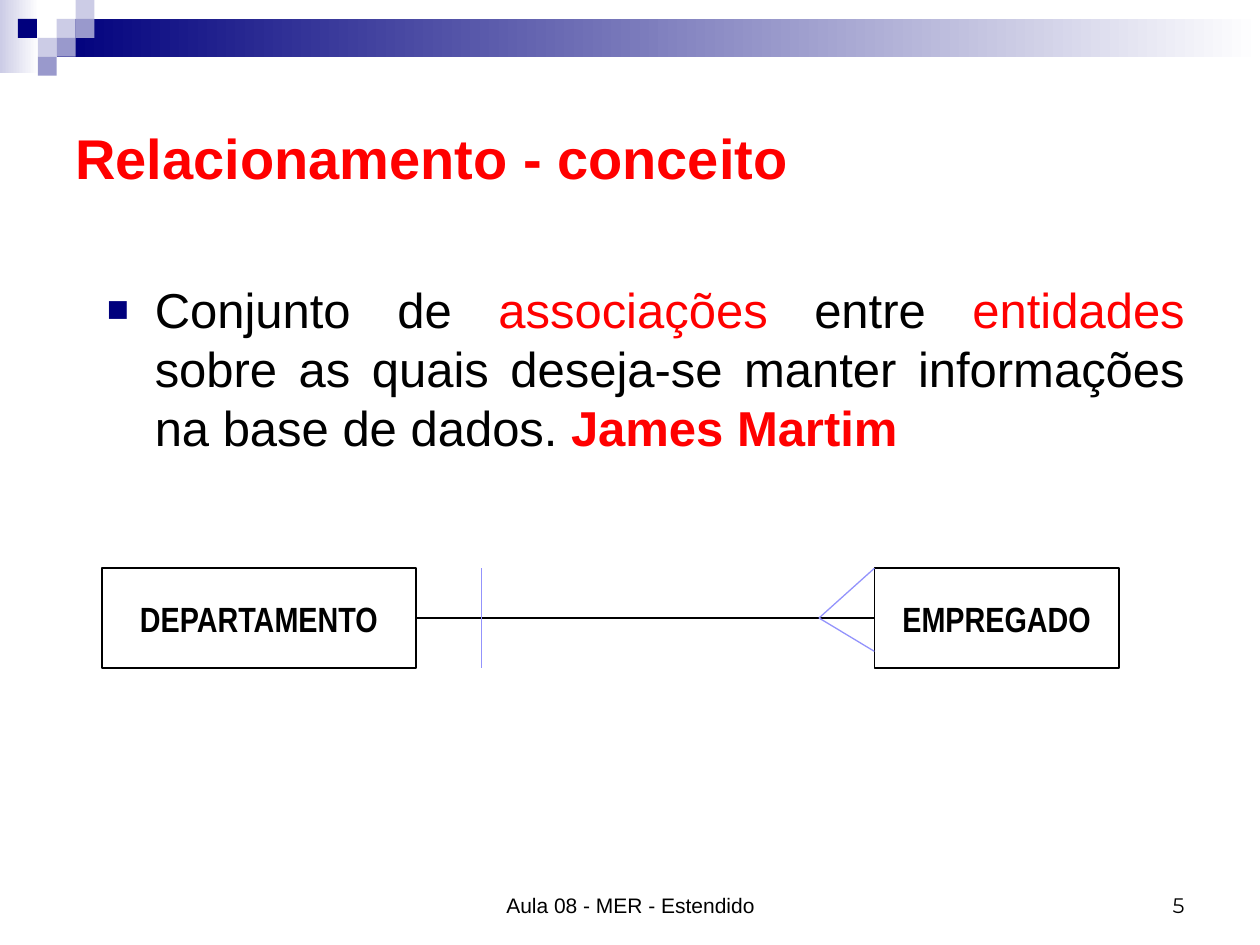
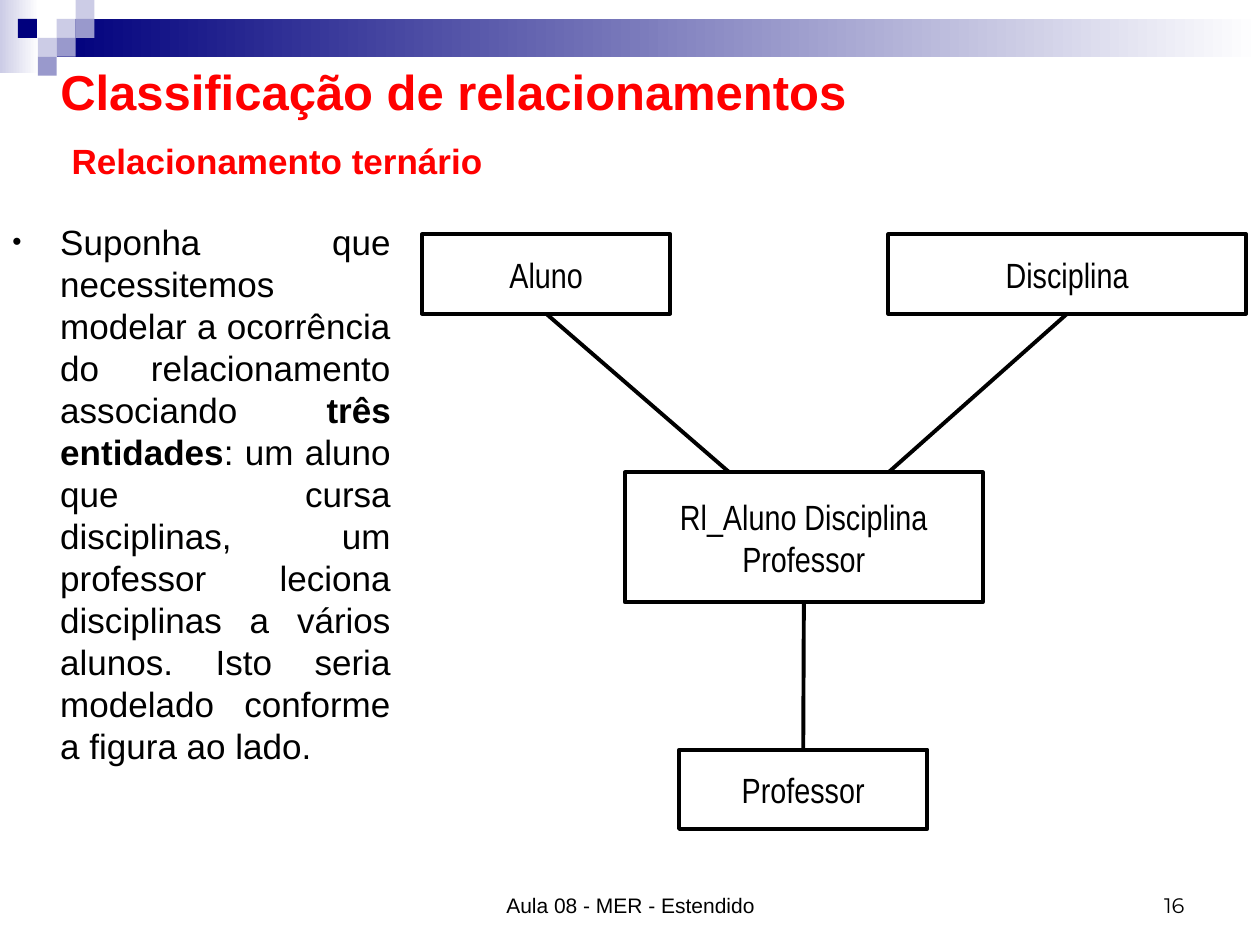
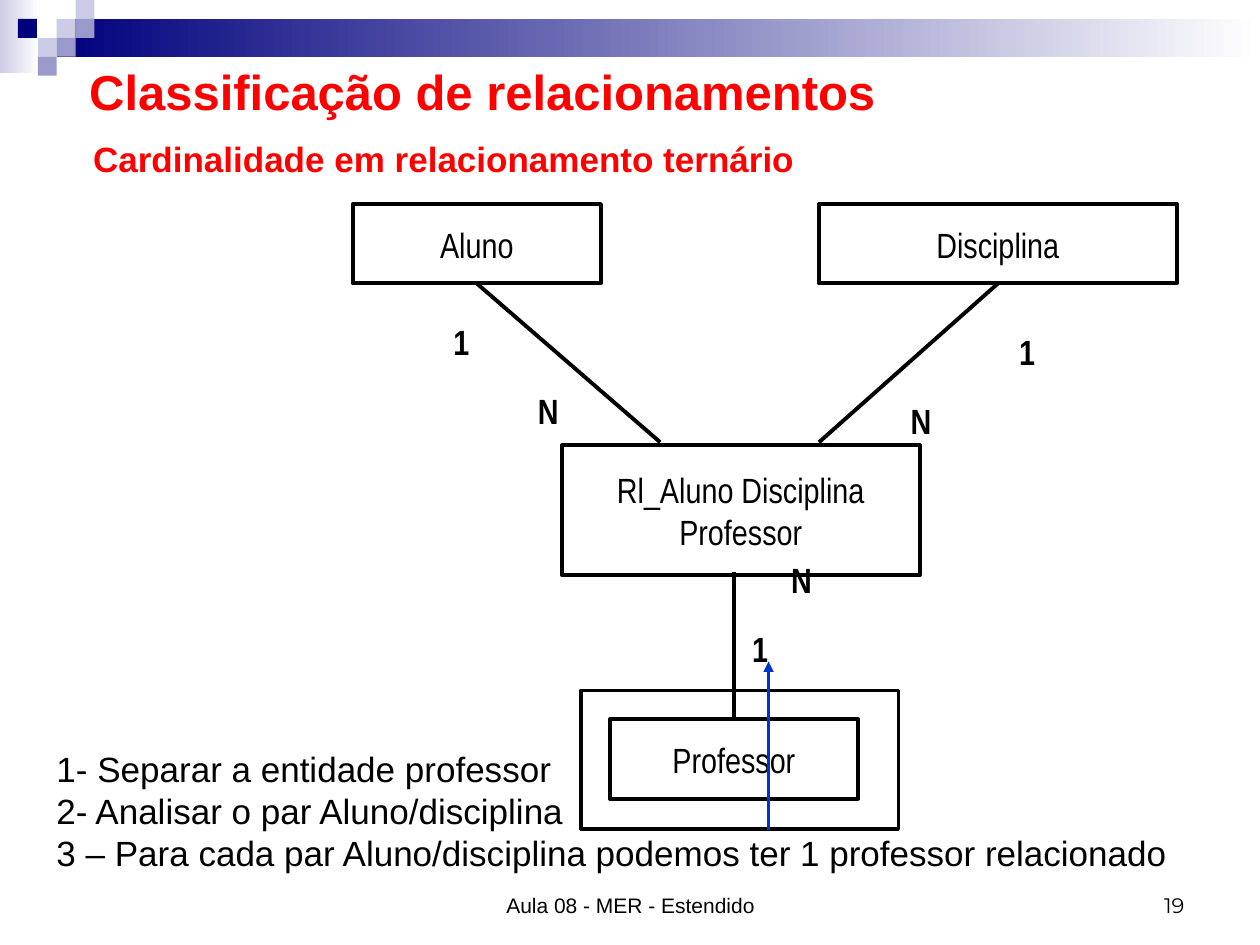
from dataclasses import dataclass

from lxml.etree import SubElement
from pptx import Presentation
from pptx.dml.color import RGBColor
from pptx.enum.shapes import MSO_CONNECTOR as Connector, MSO_SHAPE as Preset
from pptx.enum.text import MSO_ANCHOR as Anchor, PP_ALIGN as Align
from pptx.oxml.ns import qn
from pptx.util import Inches, Pt

GRID = Inches(0.1)
SLIDE_COLUMNS, SLIDE_ROWS = 100, 75
TOP, LEFT, BOTTOM, RIGHT = range(4)

BLACK, WHITE, RED = "000000", "FFFFFF", "FF0000"
NAVY, LILAC, PALE = "00007D", "9999CC", "CCCCE6"
PERIWINKLE, BLUE = "9393FC", "0033CC"

HEADING = dict(name="Arial", size=Pt(28), bold=True, color=RED)
BIG_HEADING = {**HEADING, "size": Pt(32)}
SUBHEADING = {**HEADING, "size": Pt(20)}
BODY = dict(name="Arial", size=Pt(20), bold=False, color=BLACK)
BIG_BODY = {**BODY, "size": Pt(28)}
FOOTER = {**BODY, "size": Pt(12)}
PAGE_NUMBER = {**FOOTER, "name": "Montserrat"}
ENTITY = {**BODY, "name": "Arial Narrow"}
STRONG_ENTITY = {**ENTITY, "bold": True}

MIDDLE = dict(vertical_anchor=Anchor.MIDDLE, word_wrap=True)
TOP_WRAP = dict(vertical_anchor=Anchor.TOP, word_wrap=True)
TOP_FREE = dict(vertical_anchor=Anchor.TOP, word_wrap=False)
MIDDLE_FREE = dict(vertical_anchor=Anchor.MIDDLE, word_wrap=False)
LOW = dict(vertical_anchor=Anchor.BOTTOM, word_wrap=True)


@dataclass
class Box:
    left: float
    top: float
    width: float = 0
    height: float = 0

    def inside(self, left, top, width=0, height=0):
        return Box(self.left + left, self.top + top, width, height)

    def lengths(self):
        return [round(value * GRID) for value in (self.left, self.top, self.width, self.height)]


def rgb(value):
    return RGBColor.from_string(value)


def apply(target, values):
    for name, value in values.items():
        if name == "color":
            target.color.rgb = rgb(value)
        else:
            setattr(target, name, value)


def write(shape, paragraphs, style, frame_format, **paragraph_format):
    frame = shape.text_frame
    apply(frame, frame_format)
    for index, runs in enumerate(paragraphs):
        paragraph = frame.add_paragraph() if index else frame.paragraphs[0]
        apply(paragraph, paragraph_format)
        for text, changes in runs:
            run = paragraph.add_run()
            run.text = text
            apply(run.font, {**style, **changes})


def plain(*lines):
    return [[(line, {})] for line in lines]


def add_text(slide, box, paragraphs, style, frame_format=MIDDLE, **paragraph_format):
    shape = slide.shapes.add_textbox(*box.lengths())
    write(shape, paragraphs, style, frame_format, **paragraph_format)
    return shape


def add_bullet(paragraph, character, color):
    properties = paragraph._p.get_or_add_pPr()
    properties.set("marL", str(Inches(0.38)))
    properties.set("indent", str(-Inches(0.38)))
    bullet_color = SubElement(properties, qn("a:buClr"))
    SubElement(bullet_color, qn("a:srgbClr")).set("val", color)
    SubElement(properties, qn("a:buSzPct")).set("val", "75000")
    SubElement(properties, qn("a:buFont")).set("typeface", "Arial")
    SubElement(properties, qn("a:buChar")).set("char", character)


def add_bulleted(slide, box, runs, style, character, color):
    shape = add_text(slide, box, [runs], style, TOP_WRAP, alignment=Align.JUSTIFY)
    add_bullet(shape.text_frame.paragraphs[0], character, color)


def add_rectangle(slide, box):
    shape = slide.shapes.add_shape(Preset.RECTANGLE, *box.lengths())
    shape.shadow.inherit = False
    return shape


def add_filled(slide, box, *colors):
    shape = add_rectangle(slide, box)
    shape.line.fill.background()
    if len(colors) == 1:
        shape.fill.solid()
        shape.fill.fore_color.rgb = rgb(colors[0])
        return
    shape.fill.gradient()
    shape.fill.gradient_angle = 0
    for stop, color, position in zip(shape.fill.gradient_stops, colors, (0, 1)):
        stop.color.rgb = rgb(color)
        stop.position = position


def add_outlined(slide, box, width):
    shape = add_rectangle(slide, box)
    shape.fill.background()
    apply(shape.line, dict(color=BLACK, width=Pt(width)))
    return shape


def add_entity(slide, box, *lines, style=ENTITY, width=2.25):
    shape = add_outlined(slide, box, width)
    write(shape, plain(*lines), style, MIDDLE_FREE, alignment=Align.CENTER, line_spacing=1.01)
    return shape


def add_line(slide, start, end, color=BLACK, width=2.25, arrow=False):
    points = [Box(0, 0) if isinstance(point, tuple) else point for point in (start, end)]
    line = slide.shapes.add_connector(
        Connector.STRAIGHT, *points[0].lengths()[:2], *points[1].lengths()[:2])
    for point, join in ((start, line.begin_connect), (end, line.end_connect)):
        if isinstance(point, tuple):
            join(*point)
    apply(line.line, dict(color=color, width=Pt(width)))
    properties = line._element.spPr
    if arrow:
        SubElement(properties.find(qn("a:ln")), qn("a:tailEnd")).set("type", "triangle")
    SubElement(properties, qn("a:effectLst"))


def add_band(slide, box):
    cell = 1.5
    add_filled(slide, box.inside(0, 0, 3.1, 5.8), PALE, WHITE)
    add_filled(slide, box.inside(3 * cell, cell, box.width - 3 * cell, 2 * cell), NAVY, WHITE)
    mosaic = [(3, 1, PALE), (4, 0, PALE), (4, 1, LILAC), (2, 2, PALE),
              (0.95, 1, NAVY), (3, 2, LILAC), (2, 3, LILAC)]
    for column, row, color in mosaic:
        add_filled(slide, box.inside(column * cell, row * cell, cell, cell), color)


def add_footer(slide, box, number):
    add_text(slide, box.inside(34.2, 0, 31.7, box.height), plain("Aula 08 - MER - Estendido"),
             FOOTER, LOW, alignment=Align.CENTER)
    add_text(slide, box.inside(71.7, 0, 23.3, box.height), plain(str(number)),
             PAGE_NUMBER, LOW, alignment=Align.RIGHT)


def add_page(presentation, number):
    slide = presentation.slides.add_slide(presentation.slide_layouts[6])
    add_band(slide, Box(0, 0, SLIDE_COLUMNS, 6))
    add_footer(slide, Box(0, 68.3, SLIDE_COLUMNS, 5), number)
    return slide


def add_one_to_many(slide, box):
    middle = box.height / 2
    foot = 56.9
    many_side = 61.3
    format_values = dict(style=STRONG_ENTITY, width=1)
    department = add_entity(slide, box.inside(0, 0, 24.9, box.height),
                            "DEPARTAMENTO", **format_values)
    employee = add_entity(slide, box.inside(many_side, 0, box.width - many_side, box.height),
                          "EMPREGADO", **format_values)
    add_line(slide, (department, RIGHT), (employee, LEFT), width=1)
    marks = [(30.1, 0, 30.1, box.height), (foot, middle, many_side, 0),
             (foot, middle, many_side, 6.6)]
    for left, top, right, bottom in marks:
        add_line(slide, box.inside(left, top), box.inside(right, bottom), PERIWINKLE, 0.75)


def add_ternary(slide, box, shift=0):
    narrow, wide, height = 19.7, 28.4, 6.3
    relation_top = 18.9
    student = add_entity(slide, box.inside(0, 0, narrow, height), "Aluno")
    subject = add_entity(slide, box.inside(box.width - wide, 0, wide, height), "Disciplina")
    teacher = add_entity(slide, box.inside(20.4, box.height - height, narrow, height), "Professor")
    relation = add_entity(slide, box.inside(16.1 + shift, relation_top + shift / 2, wide, 10.3),
                          "Rl_Aluno Disciplina", "Professor")
    add_line(slide, (student, BOTTOM), box.inside(24.4, relation_top))
    add_line(slide, (subject, BOTTOM), box.inside(box.width - wide, relation_top))
    start = box.inside(30.25, 29.2) if shift else (relation, BOTTOM)
    add_line(slide, start, (teacher, TOP))


def add_cardinalities(slide, box):
    labels = [("1", 7, 8.7), ("N", 13.7, 14.2), ("1", 51.9, 9.5),
              ("N", 43.3, 15), ("N", 33.8, 27.6), ("1", 30.7, 33.1)]
    for text, left, top in labels:
        width = 3.6 if text == "N" else 3.2
        add_text(slide, box.inside(left, top, width, 4.4), plain(text),
                 STRONG_ENTITY, TOP_FREE, line_spacing=1.01)


def add_headings(slide, box, subtitle_box, subtitle):
    add_text(slide, box, plain("Classificação de relacionamentos"), HEADING)
    add_text(slide, subtitle_box, plain(subtitle), SUBHEADING)


def build_concept(presentation):
    slide = add_page(presentation, 5)
    add_text(slide, Box(5, 5, 90, 15), plain("Relacionamento - conceito"), BIG_HEADING)
    runs = [
        ("Conjunto de ", {}),
        ("associações", dict(color=RED)),
        (" entre ", {}),
        ("entidades", dict(color=RED)),
        (" sobre as quais deseja-se manter informações na base de dados. ", {}),
        ("James Martim", dict(color=RED, bold=True)),
    ]
    add_bulleted(slide, Box(7.5, 21.7, 87.5, 17.4), runs, BIG_BODY, "■", NAVY)
    add_one_to_many(slide, Box(8.1, 45.1, 80.7, 7.9))


def build_ternary(presentation):
    slide = add_page(presentation, 16)
    add_headings(slide, Box(3.8, 3.1, 65.9, 8.3), Box(4.7, 8.7, 38.3, 8.1),
                 "Relacionamento ternário")
    runs = [
        ("Suponha que necessitemos modelar a ocorrência do relacionamento associando ", {}),
        ("três entidades", dict(bold=True)),
        (": um aluno que cursa disciplinas, um professor leciona disciplinas a vários alunos. "
         "Isto seria modelado conforme a figura ao lado.", {}),
    ]
    add_bulleted(slide, Box(0, 17, 32, 49.5), runs, BODY, "•", BLACK)
    add_ternary(slide, Box(33.5, 18.6, 65.4, 47.2))


def build_cardinality(presentation):
    slide = add_page(presentation, 19)
    add_headings(slide, Box(6.1, 3.1, 65.9, 8.3), Box(6.4, 9.1, 59.1, 7),
                 "Cardinalidade em relacionamento ternário")
    diagram = Box(28, 16.2, 65.4, 47.2)
    add_ternary(slide, diagram, shift=0.5)
    add_outlined(slide, diagram.inside(18.1, 38.6, 25.2, 11), 2)
    add_cardinalities(slide, diagram)
    add_line(slide, diagram.inside(33, 49.7), diagram.inside(33, 36.3), BLUE, 1.5, arrow=True)
    steps = plain("1- Separar a entidade professor",
                  "2- Analisar o par Aluno/disciplina",
                  "3 – Para cada par Aluno/disciplina podemos ter 1 professor relacionado")
    add_text(slide, Box(3.5, 58.8, 90.3, 11), steps, BODY, TOP_FREE)


def main():
    presentation = Presentation()
    presentation.slide_width = SLIDE_COLUMNS * GRID
    presentation.slide_height = SLIDE_ROWS * GRID
    for build in (build_concept, build_ternary, build_cardinality):
        build(presentation)
    presentation.save("out.pptx")


if __name__ == "__main__":
    main()
